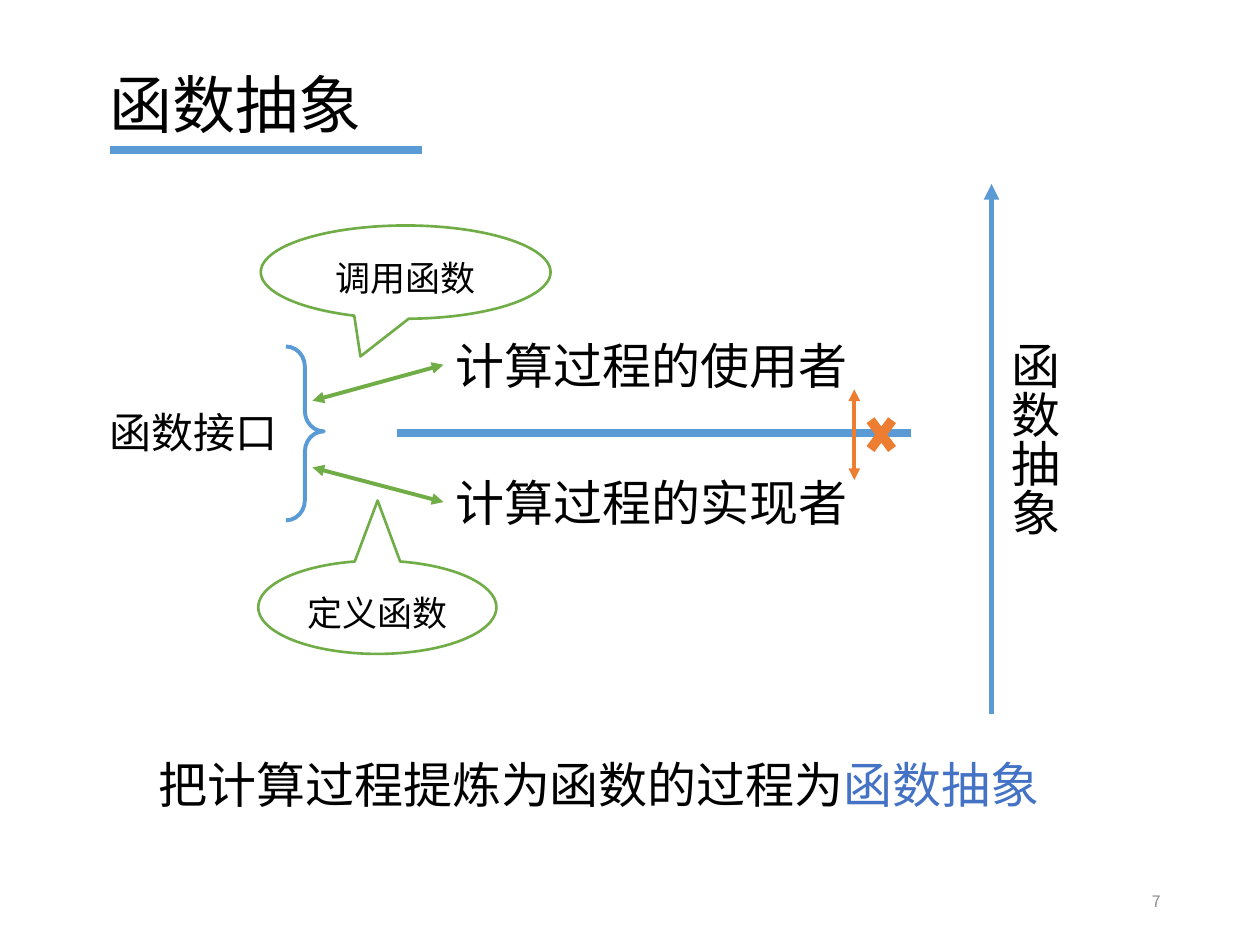
from pptx import Presentation
from pptx.dml.color import RGBColor
from pptx.enum.shapes import MSO_CONNECTOR, MSO_SHAPE
from pptx.enum.text import MSO_ANCHOR, MSO_AUTO_SIZE, PP_ALIGN
from pptx.oxml.ns import qn
from pptx.util import Inches, Pt
from lxml import etree

STRAIGHT = MSO_CONNECTOR.STRAIGHT
BRACE, CALLOUT, CROSS = (MSO_SHAPE.RIGHT_BRACE, MSO_SHAPE.OVAL_CALLOUT,
                         MSO_SHAPE.MATH_MULTIPLY)
MIDDLE = MSO_ANCHOR.MIDDLE
GROW, FIXED = MSO_AUTO_SIZE.SHAPE_TO_FIT_TEXT, MSO_AUTO_SIZE.NONE
LEFT, CENTER, RIGHT = PP_ALIGN.LEFT, PP_ALIGN.CENTER, PP_ALIGN.RIGHT
LEFT_SITE = 1

THEME = {
    "font": "Noto Sans CJK SC",
    "text": "000000", "muted": "8C8C8C", "accent": "4472C4",
    "blue": "5B9BD5", "green": "70AD47", "orange": "ED7D31",
    "title": 36, "body": 28, "label": 24, "callout": 20, "number": 9,
}

# Content: (text, box as left, top, width, height)
TITLE = ("函数抽象", (0.77, 0.47, 2.22, 0.71))
USER = ("计算过程的使用者", (3.52, 2.61, 3.34, 0.57))
IMPLEMENTER = ("计算过程的实现者", (3.52, 3.7, 3.34, 0.57))
INTERFACE = ("函数接口", (0.77, 3.18, 1.56, 0.5))
ABSTRACTION = ("函数抽象", (7.82, 2.61, 0.67, 2))
SUMMARY = (("把计算过程提炼为函数的过程为", "函数抽象"), (1.16, 5.94, 7.89, 0.57))
PAGE_NUMBER = ("7", (7.06, 6.95, 2.25, 0.4))
# Callouts add the offset of the tip from the centre, as a share of the size
CALLOUTS = [
    ("调用函数", (2.07, 1.79, 2.3, 0.74), (-0.156, 0.904)),
    ("定义函数", (2.05, 4.45, 1.89, 0.74), (0.001, -1.145)),
]
# Lines: start, end, colour, width, arrow at start, arrow at end
LINES = [
    ((0.87, 1.19), (3.35, 1.19), "blue", 4.5, False, False),   # title rule
    ((3.15, 3.44), (7.23, 3.44), "blue", 4.5, False, False),   # divider
    ((7.87, 5.67), (7.87, 1.46), "blue", 3, False, True),      # abstraction axis
    ((6.78, 3.81), (6.78, 3.09), "orange", 2.25, True, True),  # barred path
]
INTERFACE_ENDS = [(2.48, 3.18), (2.48, 3.71)]


def color(key):
    return RGBColor.from_string(THEME[key])


def inches(values):
    return [Inches(v) for v in values]


def write(frame, runs, size, tone="text", align=LEFT):
    paragraph = frame.paragraphs[0]
    paragraph.alignment = align
    font = paragraph.font
    font.size = Pt(THEME[size])
    font.color.rgb = color(tone)
    font.name = THEME["font"]
    defaults = paragraph._p.pPr.find(qn("a:defRPr"))
    etree.SubElement(defaults, qn("a:ea")).set("typeface", THEME["font"])
    for text in runs:
        paragraph.add_run().text = text
    return paragraph


def add_text(slide, content, size, tone="text", align=LEFT, wrap=True, grow=GROW):
    text, box = content
    label = slide.shapes.add_textbox(*inches(box))
    frame = label.text_frame
    frame.word_wrap = wrap
    frame.auto_size = grow
    write(frame, (text,) if isinstance(text, str) else text, size, tone, align)
    return label


def add_outline(slide, kind, box, adjustments, tone, width):
    outline = slide.shapes.add_shape(kind, *inches(box))
    outline.shadow.inherit = False
    outline.fill.background()
    outline.line.color.rgb = color(tone)
    outline.line.width = Pt(width)
    for i, value in enumerate(adjustments):
        outline.adjustments[i] = value
    return outline


def add_line(slide, start, end, tone, width, head, tail):
    line = slide.shapes.add_connector(STRAIGHT, *inches(start + end))
    line.line.color.rgb = color(tone)
    line.line.width = Pt(width)
    properties = line._element.spPr
    for tag, arrow in (("a:headEnd", head), ("a:tailEnd", tail)):
        if arrow:
            etree.SubElement(properties.find(qn("a:ln")), qn(tag)).set("type", "triangle")
    etree.SubElement(properties, qn("a:effectLst"))
    return line


def main():
    prs = Presentation()
    prs.slide_width, prs.slide_height = inches((10, 7.5))
    slide = prs.slides.add_slide(prs.slide_layouts[6])

    # Title, labels and summary
    add_text(slide, TITLE, "title", wrap=False)
    roles = [add_text(slide, role, "body", wrap=False) for role in (USER, IMPLEMENTER)]
    add_text(slide, INTERFACE, "label")
    abstraction = add_text(slide, ABSTRACTION, "body")
    abstraction.text_frame._txBody.bodyPr.set("vert", "eaVert")
    summary = add_text(slide, SUMMARY, "body")
    summary.text_frame.paragraphs[0].runs[1].font.color.rgb = color("accent")
    number = add_text(slide, PAGE_NUMBER, "number", "muted", RIGHT, grow=FIXED)
    number.text_frame.vertical_anchor = MIDDLE

    # Rules and arrows
    for line in LINES:
        add_line(slide, *line)

    # Interface brace, with an arrow to each role
    add_outline(slide, BRACE, (2.27, 2.75, 0.3, 1.38), (0.535, 0.488), "blue", 2.25)
    for role, (_, (left, top, _, height)), end in zip(
            roles, (USER, IMPLEMENTER), INTERFACE_ENDS):
        arrow = add_line(slide, (left, top + height / 2), end, "green", 2.25, True, True)
        arrow.begin_connect(role, LEFT_SITE)

    # Callouts
    for text, box, tip in CALLOUTS:
        callout = add_outline(slide, CALLOUT, box, tip, "green", 1.5)
        callout.text_frame.vertical_anchor = MIDDLE
        paragraph = write(callout.text_frame, (text,), "callout", align=CENTER)
        paragraph.line_spacing = 1.25

    # Cross on the barred path
    cross = slide.shapes.add_shape(CROSS, *inches((6.83, 3.23, 0.33, 0.44)))
    cross.shadow.inherit = False
    cross.fill.solid()
    cross.fill.fore_color.rgb = color("orange")
    cross.line.fill.background()

    prs.save("out.pptx")


if __name__ == "__main__":
    main()
